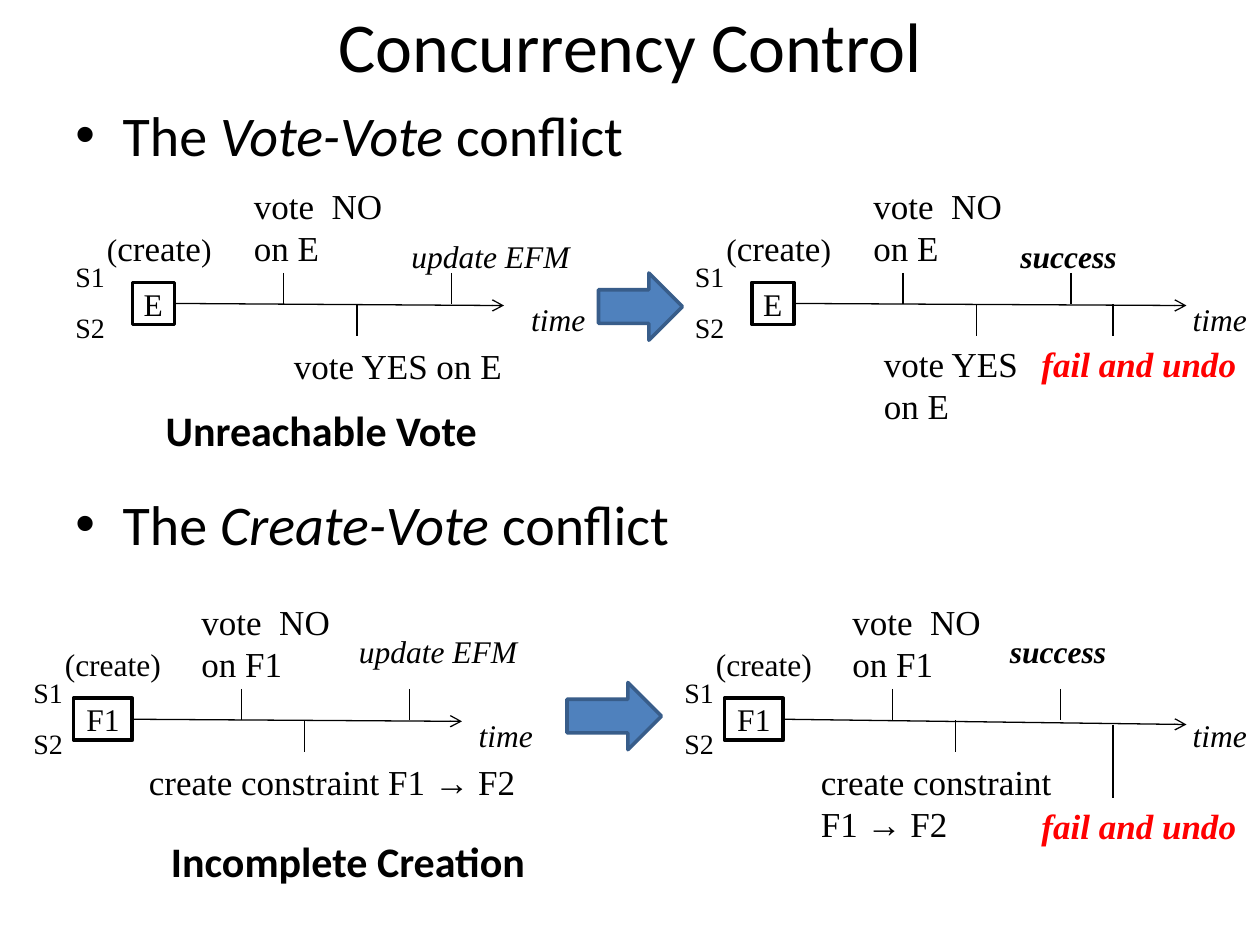
import pptx
import pptx.util
import pptx.dml.color
import pptx.enum.shapes
import pptx.enum.text
import pptx.oxml.ns
from lxml import etree
from dataclasses import dataclass

PX = 7620  # 120 px to the inch
SHAPE = pptx.enum.shapes.MSO_SHAPE
ALIGN = pptx.enum.text.PP_ALIGN
ANCHOR = pptx.enum.text.MSO_ANCHOR
qn = pptx.oxml.ns.qn


@dataclass(frozen=True)
class Theme:
    ink: str = "000000"
    paper: str = "FFFFFF"
    alert: str = "FF0000"
    blue: str = "4F81BD"
    edge: str = "385D8A"
    sans: str = "Calibri"
    serif: str = "Times New Roman"
    symbol: str = "Arial"
    title: int = 40
    head: int = 32
    caption: int = 24
    event: int = 20
    label: int = 18
    site: int = 16


T = Theme()


def px(*vals):
    return [pptx.util.Emu(v * PX) for v in vals]


def rgb(code):
    return pptx.dml.color.RGBColor.from_string(code)


def style(run, size, font=T.serif, color=T.ink, bold=False, italic=False):
    run.font.size = pptx.util.Pt(size)
    run.font.name = font
    run.font.color.rgb = rgb(color)
    run.font.bold = bold
    run.font.italic = italic


def fill_text(para, text, size, **look):
    """Text is a string, or a list of (string, changes to the look)."""
    parts = [(text, {})] if isinstance(text, str) else text
    for words, change in parts:
        run = para.add_run()
        run.text = words
        style(run, **{"size": size, **look, **change})


def write(slide, box, text, size, wrap=True, **look):
    frame = slide.shapes.add_textbox(*px(*box)).text_frame
    frame.word_wrap = wrap
    fill_text(frame.paragraphs[0], text, size, **look)
    return frame


def block(slide, kind, box, fill, edge):
    shape = slide.shapes.add_shape(kind, *px(*box))
    shape.shadow.inherit = False
    shape.fill.solid()
    shape.fill.fore_color.rgb = rgb(fill)
    shape.line.color.rgb = rgb(edge)
    shape.line.width = pptx.util.Pt(2)
    return shape


def rule(slide, x1, y1, x2, y2):
    line = slide.shapes.add_connector(
        pptx.enum.shapes.MSO_CONNECTOR.STRAIGHT, *px(x1, y1, x2, y2))
    line.line.color.rgb = rgb(T.ink)
    line.line.width = pptx.util.Pt(0.75)
    etree.SubElement(line._element.spPr, qn("a:effectLst"))
    return line


def title(slide, box, text):
    frame = write(slide, box, text, T.title, font=T.sans)
    frame.vertical_anchor = ANCHOR.MIDDLE
    frame.paragraphs[0].alignment = ALIGN.CENTER


def heading(slide, box, name):
    text = [("The ", {}), (name + " ", {"italic": True}), ("conflict", {})]
    frame = write(slide, box, text, T.head, font=T.sans)
    props = frame.paragraphs[0]._p.get_or_add_pPr()
    props.set("marL", str(45 * PX))
    props.set("indent", str(-45 * PX))
    etree.SubElement(props, qn("a:buFont"), typeface=T.symbol)
    etree.SubElement(props, qn("a:buChar"), char="•")


def timeline(slide, x, y, item, ticks, end, time, notes, drop=1):
    """Draw one time axis at height y; all offsets count from (x, y)."""
    name, left, width = item

    # Sites
    write(slide, (x, y - 49, 52, 44), "S1", T.site, wrap=False)
    write(slide, (x, y, 60, 44), "S2", T.site)

    # Item and its axis
    box = block(slide, SHAPE.RECTANGLE, (x + left, y - 21, width, 40),
                T.paper, T.ink)
    frame = box.text_frame
    frame.word_wrap = False
    frame.vertical_anchor = ANCHOR.MIDDLE
    frame.text = name
    frame.paragraphs[0].alignment = ALIGN.CENTER
    style(frame.paragraphs[0].runs[0], T.label)
    axis = rule(slide, x + left + width, y - 1, x + end, y + drop)
    axis.begin_connect(box, 3)
    etree.SubElement(axis.line._get_or_add_ln(), qn("a:tailEnd"), type="arrow")
    write(slide, (x + time, y - 10, 76, 48), "time", T.label, wrap=False,
          italic=True)

    # Events
    for dx, top, foot in ticks:
        rule(slide, x + dx, y + top, x + dx, y + foot)
    for (dx, dy, w, h), text, size, look in notes:
        write(slide, (x + dx, y + dy, w, h), text, size, **look)


def arrow(slide, box):
    block(slide, SHAPE.RIGHT_ARROW, box, T.blue, T.edge)


def caption(slide, box, text):
    write(slide, box, text, T.caption, wrap=False, font=T.sans, bold=True)


def main():
    deck = pptx.Presentation()
    deck.slide_width, deck.slide_height = px(1200, 900)
    slide = deck.slides.add_slide(deck.slide_layouts[6])

    title(slide, (60, 0, 1080, 84), "Concurrency Control")

    slant = {"italic": True}
    strong = {"italic": True, "bold": True}
    alert = {**strong, "color": T.alert}

    # Vote-Vote conflict
    heading(slide, (60, 90, 1080, 80), "Vote-Vote")
    item = ("E", 66, 40)
    ticks = [(210, -30, 0), (280, 0, 30), (370, -30, 0)]
    small = {"size": T.label}
    create = [("(", small), ("create", {}), (")", small)]
    shared = [((30, -80, 150, 53), create, T.event, {}),
              ((170, -120, 160, 92), "vote  NO on E", T.event, {})]
    timeline(slide, 60, 290, item, ticks, 420, 434, shared + [
        ((208, 32, 242, 53), "vote YES on E", T.event, {}),
        ((320, -70, 200, 48), "update EFM", T.label, slant)])
    arrow(slide, (570, 260, 80, 64))
    timeline(slide, 650, 290, item, ticks + [(440 - 30, 0, 30)], 480, 474,
             shared + [
                 ((180, 30, 180, 92), "vote YES on E", T.event, {}),
                 ((310, -70, 200, 48), "success", T.label, strong),
                 ((330, 30, 220, 53), "fail and undo", T.event, alert)])
    caption(slide, (146, 379, 323, 60), "Unreachable Vote")

    # Create-Vote conflict
    heading(slide, (60, 460, 1080, 80), "Create-Vote")
    item = ("F1", 50, 56)
    ticks = [(210, -30, 0), (270, 0, 30), (370, -30, 0)]
    implied = [("create constraint F1 ", {}), ("→", {"font": T.symbol}),
               (" F2", {})]
    shared = [((30, -78, 120, 48), "(create)", T.label, {}),
              ((160, -120, 160, 92), "vote  NO on F1", T.event, {})]
    timeline(slide, 20, 686, item, ticks, 420, 424, shared + [
        ((110, 32, 380, 53), implied, T.event, {}),
        ((310, -90, 200, 48), "update EFM", T.label, slant)])
    arrow(slide, (540, 650, 90, 64))
    timeline(slide, 640, 686, item, ticks + [(420, 4, 74)], 490, 484,
             shared + [
                 ((130, 32, 280, 92), implied, T.event, {}),
                 ((310, -90, 200, 48), "success", T.label, strong),
                 ((340, 74, 220, 53), "fail and undo", T.event, alert)],
             drop=4)
    caption(slide, (151, 790, 362, 60), "Incomplete Creation")

    deck.save("out.pptx")


if __name__ == "__main__":
    main()
